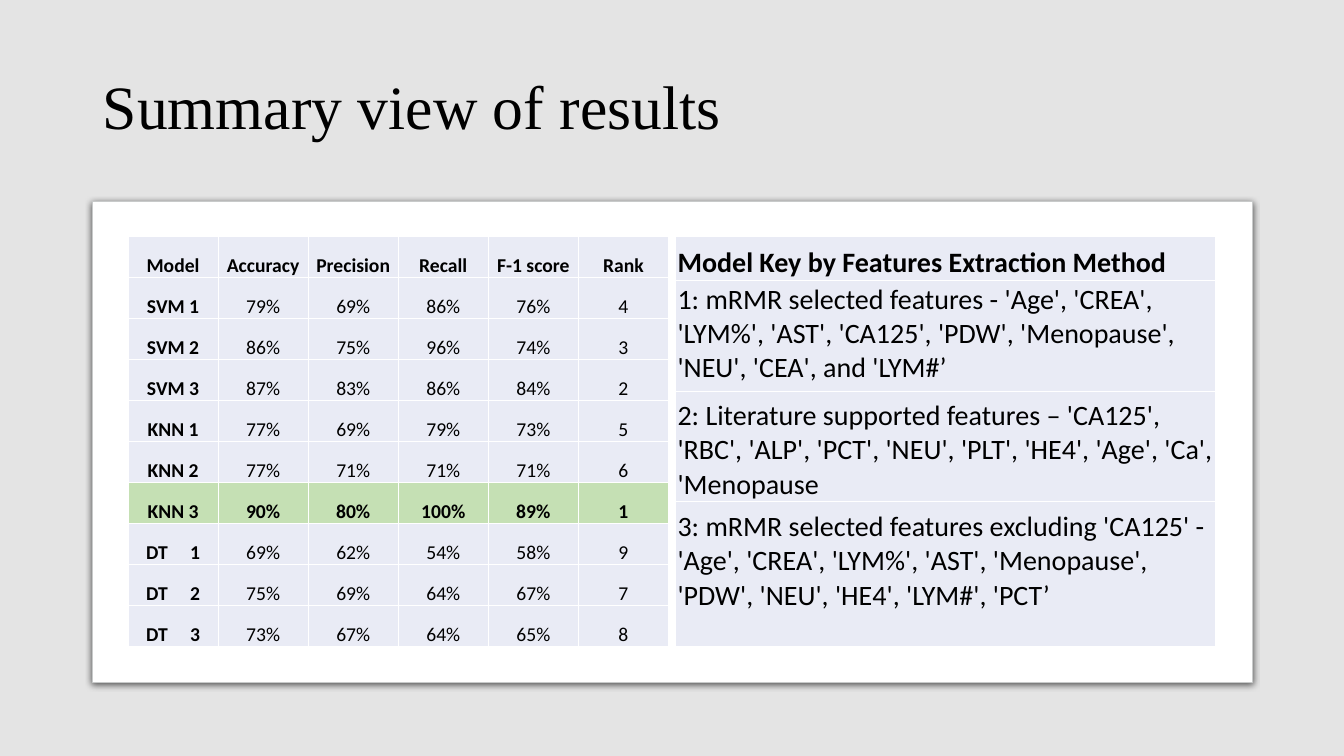
from lxml import etree
from pptx import Presentation
from pptx import util as u
from pptx.dml.color import RGBColor
from pptx.enum import shapes, text
from pptx.oxml import parse_xml
from pptx.oxml.ns import nsdecls, qn

BLACK = RGBColor(0x00, 0x00, 0x00)
WHITE = RGBColor(0xFF, 0xFF, 0xFF)
VEIL_GREY = RGBColor(0xD9, 0xD9, 0xD9)
CARD_EDGE = RGBColor(0xC8, 0xCA, 0xCA)
CELL_BLUE = RGBColor(0xE9, 0xEB, 0xF5)
BEST_GREEN = RGBColor(0xC5, 0xE0, 0xB4)

HEADINGS = ["Model", "Accuracy", "Precision", "Recall", "F-1 score", "Rank"]
RESULTS = [
    ["SVM 1", "79%", "69%", "86%", "76%", "4"],
    ["SVM 2", "86%", "75%", "96%", "74%", "3"],
    ["SVM 3", "87%", "83%", "86%", "84%", "2"],
    ["KNN 1", "77%", "69%", "79%", "73%", "5"],
    ["KNN 2", "77%", "71%", "71%", "71%", "6"],
    ["KNN 3", "90%", "80%", "100%", "89%", "1"],
    ["DT     1", "69%", "62%", "54%", "58%", "9"],
    ["DT     2", "75%", "69%", "64%", "67%", "7"],
    ["DT     3", "73%", "67%", "64%", "65%", "8"],
]
# Text, share of the table height, anchor, bottom margin in inches
MODEL_KEY = [
    ("Model Key by Features Extraction Method", 0.106, text.MSO_ANCHOR.BOTTOM, 0),
    ("1: mRMR selected features - 'Age', 'CREA', 'LYM%', 'AST', 'CA125', 'PDW', "
     "'Menopause', 'NEU', 'CEA', and 'LYM#’", 0.27, text.MSO_ANCHOR.TOP, 0),
    ("2: Literature supported features – 'CA125', 'RBC', 'ALP', 'PCT', 'NEU', 'PLT', "
     "'HE4', 'Age', 'Ca', 'Menopause", 0.27, text.MSO_ANCHOR.BOTTOM, 0),
    ("3: mRMR selected features excluding 'CA125' - 'Age', 'CREA', 'LYM%', 'AST', "
     "'Menopause', 'PDW', 'NEU', 'HE4', 'LYM#', 'PCT’", 0.354,
     text.MSO_ANCHOR.BOTTOM, 0.34),
]


def write(frame, words, size, font="Calibri", bold=False,
          align=text.PP_ALIGN.LEFT, spacing=None):
    paragraph = frame.paragraphs[0]
    paragraph.alignment = align
    paragraph.line_spacing = spacing
    run = paragraph.add_run()
    run.text = words
    run.font.size = u.Pt(size)
    run.font.name = font
    run.font.bold = bold
    run.font.color.rgb = BLACK


def dress_cell(cell, fill, inset, bottom=0, anchor=text.MSO_ANCHOR.BOTTOM):
    """Set the margins, white borders and fill of a table cell."""
    cell.margin_left = cell.margin_right = cell.margin_top = u.Inches(inset)
    cell.margin_bottom = u.Inches(bottom)
    cell.vertical_anchor = anchor
    properties = cell._tc.get_or_add_tcPr()
    for side in "LRTB":
        properties.append(parse_xml(
            f'<a:ln{side} {nsdecls("a")} w="12700"><a:solidFill>'
            f'<a:srgbClr val="{WHITE}"/></a:solidFill></a:ln{side}>'))
    cell.fill.solid()
    cell.fill.fore_color.rgb = fill


deck = Presentation()
deck.slide_width, deck.slide_height = u.Inches(13.33), u.Inches(7.5)
slide = deck.slides.add_slide(deck.slide_layouts[5])

# Backdrop and card
veil = slide.shapes.add_shape(shapes.MSO_SHAPE.RECTANGLE, 0, 0,
                              deck.slide_width, deck.slide_height)
veil.shadow.inherit = False
veil.fill.solid()
veil.fill.fore_color.rgb = VEIL_GREY
veil.line.fill.background()
veil_colour = veil._element.spPr.find(".//" + qn("a:srgbClr"))
etree.SubElement(veil_colour, qn("a:alpha"), val="70000")

card_left, card_width = u.Inches(0.92), u.Inches(11.5)
card = slide.shapes.add_shape(shapes.MSO_SHAPE.ROUNDED_RECTANGLE, card_left,
                              u.Inches(2), card_width, u.Inches(4.77))
card.adjustments[0] = 0
card.fill.solid()
card.fill.fore_color.rgb = WHITE
card.line.color.rgb = CARD_EDGE
card.line.width = u.Pt(0.75)
card.shadow.inherit = False
card._element.spPr.find(qn("a:effectLst")).append(parse_xml(
    f'<a:outerShdw {nsdecls("a")} blurRad="{u.Pt(4.5)}" dist="{u.Pt(1.5)}" '
    f'dir="5400000" rotWithShape="0"><a:srgbClr val="{BLACK}">'
    '<a:alpha val="63000"/></a:srgbClr></a:outerShdw>'))

# Two tables of equal size side by side
table_top, table_width, table_height = u.Inches(2.35), u.Inches(5.36), u.Inches(4.07)
scores = slide.shapes.add_table(len(RESULTS) + 1, len(HEADINGS), u.Inches(1.27),
                                table_top, table_width, table_height).table
model_key = slide.shapes.add_table(len(MODEL_KEY), 1, u.Inches(6.7),
                                   table_top, table_width, table_height).table
for table in (scores, model_key):
    table.first_row = table.horz_banding = False

for row, entries in enumerate([HEADINGS] + RESULTS):
    best = entries[-1] == "1"
    for column, entry in enumerate(entries):
        cell = scores.cell(row, column)
        dress_cell(cell, BEST_GREEN if best else CELL_BLUE, inset=0.01)
        write(cell.text_frame, entry, 14, bold=best or row == 0 or column == 0,
              align=text.PP_ALIGN.CENTER)

for row, (entry, share, anchor, bottom) in enumerate(MODEL_KEY):
    model_key.rows[row].height = int(table_height * share)
    cell = model_key.cell(row, 0)
    dress_cell(cell, CELL_BLUE, inset=0.02, bottom=bottom, anchor=anchor)
    write(cell.text_frame, entry, 20, bold=row == 0)

# Title, in front of the backdrop
title = slide.shapes.title
title.left, title.top = card_left, u.Inches(0.36)
title.width, title.height = card_width, u.Inches(1.45)
title.text_frame.auto_size = text.MSO_AUTO_SIZE.NONE
title.text_frame.vertical_anchor = text.MSO_ANCHOR.MIDDLE
write(title.text_frame, "Summary view of results", 44, font="Times New Roman",
      spacing=0.9)
slide.shapes._spTree.append(title._element)

deck.save("out.pptx")
